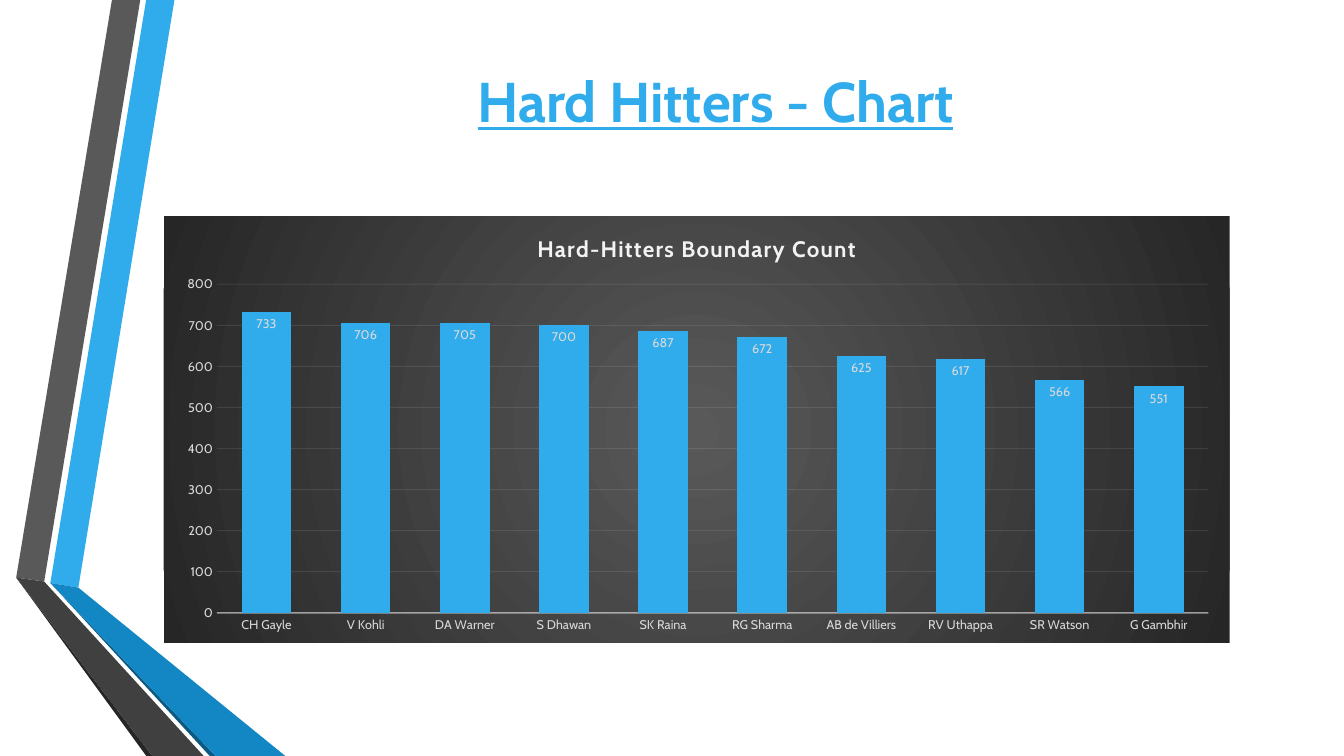
from lxml import etree
from pptx import Presentation
from pptx import util as u
from pptx.chart.data import CategoryChartData
from pptx.dml.color import RGBColor
from pptx.enum import chart as ch, text
from pptx.oxml import parse_xml
from pptx.oxml.ns import nsdecls, qn

FONT = "Cabin"
BLUE = "30ACEC"
BOUNDARIES = {
    "CH Gayle": 733, "V Kohli": 706, "DA Warner": 705, "S Dhawan": 700,
    "SK Raina": 687, "RG Sharma": 672, "AB de Villiers": 625,
    "RV Uthappa": 617, "SR Watson": 566, "G Gambhir": 551,
}


def rgb(value):
    return RGBColor.from_string(value)


def style_font(font, size, color, bold=False, underline=None):
    font.name, font.size = FONT, u.Pt(size)
    font.bold, font.underline = bold, underline
    font.color.rgb = rgb(color)


def add_text(p, words, spacing=0, **fmt):
    r = p.add_run()
    r.text = words
    style_font(r.font, **fmt)
    if spacing:
        r.font._element.set("spc", str(spacing * 100))


def style_line(line, color, width, opacity):
    line.color.rgb = rgb(color)
    line.width = u.Pt(width)
    clr = line._ln.find(".//" + qn("a:srgbClr"))
    etree.SubElement(clr, qn("a:alpha")).set("val", str(opacity * 1000))


def polygon(s, points, color):
    (x, y), *rest = [(u.Pt(px), u.Pt(py)) for px, py in points]
    fb = s.shapes.build_freeform(x, y)
    fb.add_line_segments(rest, close=True)
    sp = fb.convert_to_shape()
    sp.shadow.inherit = False
    sp.fill.solid()
    sp.fill.fore_color.rgb = rgb(color)
    sp.line.fill.background()


# Folded ribbon: an arm up from the knee, and a foot with a dark edge
def ribbon(s, left, top, height, knee, drop, feet, colors):
    ky, bottom = top + knee, top + height
    edge, inner, outer = (left + f for f in feet)
    arm_color, foot_color, edge_color = colors
    start, end = (left, ky), (left + 20, ky + drop)
    polygon(s, [start, end, (left + 88.6, top), (left + 68.4, top)], arm_color)
    polygon(s, [start, (edge, bottom), (inner, bottom)], edge_color)
    polygon(s, [start, (inner, bottom), (outer, bottom), end], foot_color)


# Slide title
def title(s, left, top, width, height, words):
    sp = s.shapes.title
    sp.left, sp.top, sp.width, sp.height = map(u.Pt, (left, top, width, height))
    tf = sp.text_frame
    tf.vertical_anchor = text.MSO_ANCHOR.MIDDLE
    p = tf.paragraphs[0]
    p.alignment = text.PP_ALIGN.CENTER
    add_text(p, words, size=40, color=BLUE, bold=True, underline=True)


# Radial background of the chart area
def chart_background(chart, center, rim):
    stops = "".join(
        f'<a:gs pos="{pos}"><a:srgbClr val="{color}"/></a:gs>'
        for pos, color in ((0, center), (100000, rim)))
    chart._chartSpace.find(qn("c:chart")).addnext(parse_xml(
        f'<c:spPr {nsdecls("c", "a")}><a:gradFill><a:gsLst>{stops}</a:gsLst>'
        '<a:path path="circle"><a:fillToRect l="50000" t="50000" r="50000" '
        'b="50000"/></a:path></a:gradFill><a:ln><a:noFill/></a:ln></c:spPr>'))


# Inner plot area, as shares of the chart box
def plot_layout(chart, **shares):
    area = chart._chartSpace.find(".//" + qn("c:plotArea"))
    old = area.find(qn("c:layout"))
    if old is not None:
        area.remove(old)
    sizes = "".join(f'<c:{k} val="{v}"/>' for k, v in shares.items())
    area.insert(0, parse_xml(
        f'<c:layout {nsdecls("c")}><c:manualLayout>'
        '<c:layoutTarget val="inner"/><c:xMode val="edge"/>'
        f'<c:yMode val="edge"/>{sizes}</c:manualLayout></c:layout>'))


# Column chart
def boundary_chart(s, left, top, width, height):
    data = CategoryChartData()
    data.categories = list(BOUNDARIES)
    data.add_series("Series 1", list(BOUNDARIES.values()))
    chart = s.shapes.add_chart(
        ch.XL_CHART_TYPE.COLUMN_CLUSTERED,
        *map(u.Pt, (left, top, width, height)), data).chart
    style_font(chart.font, 10, "000000")
    chart.has_legend = False
    chart_background(chart, "595959", "262626")
    plot_layout(chart, x=0.05, y=0.16, w=0.93, h=0.77)

    chart.has_title = True
    add_text(chart.chart_title.text_frame.paragraphs[0],
             "Hard-Hitters Boundary Count", spacing=1,
             size=16, color="F2F2F2", bold=True)

    # Axes
    cat, val = chart.category_axis, chart.value_axis
    for axis in (cat, val):
        axis.major_tick_mark = axis.minor_tick_mark = ch.XL_TICK_MARK.NONE
        style_font(axis.tick_labels.font, 9, "D9D9D9")
    style_line(cat.format.line, "F2F2F2", 1, 54)
    val.format.line.fill.background()
    val.minimum_scale, val.maximum_scale, val.major_unit = 0, 800, 100
    style_line(val.major_gridlines.format.line, "F2F2F2", 0.75, 10)

    # Columns and their labels
    plot = chart.plots[0]
    plot.vary_by_categories = False
    plot.gap_width, plot.overlap = 100, -24
    fill = plot.series[0].format.fill
    fill.solid()
    fill.fore_color.rgb = rgb(BLUE)
    plot.has_data_labels = True
    labels = plot.data_labels
    labels.show_value = True
    labels.position = ch.XL_LABEL_POSITION.INSIDE_END
    style_font(labels.font, 9, "D9D9D9")


def main():
    prs = Presentation()
    prs.slide_width, prs.slide_height = u.Pt(960), u.Pt(540)
    s = prs.slides.add_slide(prs.slide_layouts[5])
    ribbon(s, 36, 0, 540, knee=416.4, drop=3.4, feet=(113.8, 118, 167.8),
           colors=(BLUE, "1287C3", "0C5A82"))
    ribbon(s, 11.6, 0, 540, knee=412.6, drop=2.8, feet=(92.9, 97.2, 133.9),
           colors=("595959", "404040", "262626"))
    title(s, 116.6, 42.5, 789, 58.3, "Hard Hitters - Chart")
    boundary_chart(s, 116.9, 154.3, 761.5, 304.9)
    prs.save("out.pptx")


if __name__ == "__main__":
    main()
